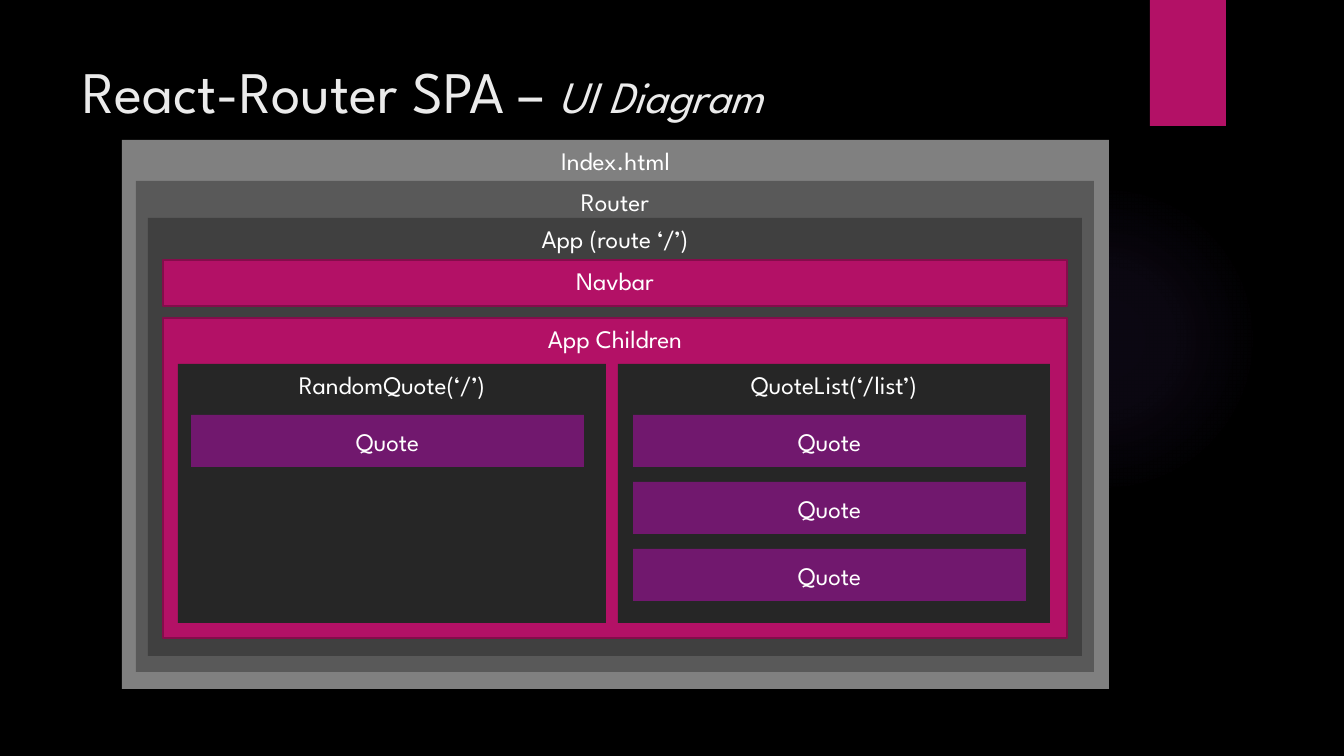
import pptx
import pptx.util
import pptx.dml.color
import pptx.enum.shapes
import pptx.enum.text
import pptx.oxml
import pptx.oxml.ns

PX = 914400 / 100.8
FONT = "League Spartan"
COLORS = {
    "back": "000000", "title": "EBEBEB", "text": "FFFFFF", "glow": "9B6BF2",
    "html": "808080", "router": "595959", "app": "404040", "page": "262626",
    "pink": "B31166", "edge": "840D4B", "quote": "71186E",
}
SHAPE = pptx.enum.shapes.MSO_SHAPE
ANCHOR = pptx.enum.text.MSO_ANCHOR
ALIGN = pptx.enum.text.PP_ALIGN
NS = pptx.oxml.ns.nsdecls("a")


def px(count):
    return round(count * PX)


def color(name):
    return pptx.dml.color.RGBColor.from_string(COLORS[name])


def style(font, size, name):
    font.name = FONT
    font.size = pptx.util.Pt(size)
    font.color.rgb = color(name)


def block(slide, box, fill, label="", edge=None, anchor=ANCHOR.TOP, kind=SHAPE.RECTANGLE):
    shape = slide.shapes.add_shape(kind, *map(px, box))
    shape.shadow.inherit = False
    shape.fill.solid()
    shape.fill.fore_color.rgb = color(fill)
    if edge:
        shape.line.color.rgb = color(edge)
        shape.line.width = pptx.util.Pt(1.5)
    else:
        shape.line.fill.background()
    if label:
        frame = shape.text_frame
        frame.word_wrap = True
        frame.vertical_anchor = anchor
        para = frame.paragraphs[0]
        para.text = label
        para.alignment = ALIGN.CENTER
        style(para.font, 18, "text")
    return shape


def add_glow(slide, box):
    """Place a faint round light that fades out towards its rim."""
    glow = block(slide, box, "glow", kind=SHAPE.OVAL)
    stops = "".join(
        f'<a:gs pos="{pos * 1000}"><a:srgbClr val="{COLORS["glow"]}">'
        f'<a:alpha val="{alpha * 1000}"/></a:srgbClr></a:gs>'
        for pos, alpha in ((0, 7), (36, 6), (69, 0), (100, 0)))
    grad = pptx.oxml.parse_xml(
        f'<a:gradFill {NS}><a:gsLst>{stops}</a:gsLst><a:path path="circle">'
        '<a:fillToRect l="50000" t="50000" r="50000" b="50000"/></a:path></a:gradFill>')
    props = glow.element.spPr
    props.replace(props.find(pptx.oxml.ns.qn("a:solidFill")), grad)


def add_tab(slide, box):
    """Hang the pink tab from the top edge, with a soft shadow."""
    tab = block(slide, box, "pink")
    shade = pptx.oxml.parse_xml(
        f'<a:outerShdw {NS} blurRad="38100" dist="25400" dir="5400000" rotWithShape="0">'
        '<a:srgbClr val="000000"><a:alpha val="45000"/></a:srgbClr></a:outerShdw>')
    tab.element.spPr.find(pptx.oxml.ns.qn("a:effectLst")).append(shade)


def add_title(slide, box):
    title = slide.shapes.title
    title.left, title.top, title.width, title.height = map(px, box)
    frame = title.text_frame
    frame.auto_size = pptx.enum.text.MSO_AUTO_SIZE.NONE
    frame.word_wrap = True
    frame.vertical_anchor = ANCHOR.TOP
    para = frame.paragraphs[0]
    para.alignment = ALIGN.LEFT
    style(para.font, 42, "title")
    para.add_run().text = "React-Router SPA – "
    part = para.add_run()
    part.text = "UI Diagram"
    part.font.size = pptx.util.Pt(32)
    part.font.italic = True


def add_page(slide, box, label, inset, count):
    """Draw one routed page with its stack of quotes."""
    left, top, _, _ = box
    block(slide, box, "page", label)
    for row in range(count):
        block(slide, (left + inset, top + 51 + 67 * row, 393, 52),
              "quote", "Quote", anchor=ANCHOR.MIDDLE)


def add_app(slide, box):
    left, top, width, _ = box
    block(slide, box, "app", "App (route ‘/’)")
    inner = left + 15
    block(slide, (inner, top + 42, width - 30, 46), "pink", "Navbar", "edge")
    block(slide, (inner, top + 100, width - 30, 320), "pink", "App Children", "edge")
    add_page(slide, (inner + 15, top + 146, 428, 259), "RandomQuote(‘/’)", 13, 1)
    add_page(slide, (inner + 455, top + 146, 432, 259), "QuoteList(‘/list’)", 15, 3)


def add_diagram(slide, box):
    left, top, width, height = box
    block(slide, box, "html", "Index.html")
    block(slide, (left + 14, top + 41, width - 29, height - 58), "router", "Router")
    add_app(slide, (left + 26, top + 78, width - 53, height - 111))


def main():
    deck = pptx.Presentation()
    deck.slide_width, deck.slide_height = px(1344), px(756)
    slide = deck.slides.add_slide(deck.slide_layouts[5])
    slide.background.fill.solid()
    slide.background.fill.fore_color.rgb = color("back")
    add_glow(slide, (948, 184, 310, 310))
    add_tab(slide, (1150, 0, 76, 126))
    add_title(slide, (72, 50, 1037, 154))
    add_diagram(slide, (122, 140, 987, 549))
    deck.save("out.pptx")


if __name__ == "__main__":
    main()
